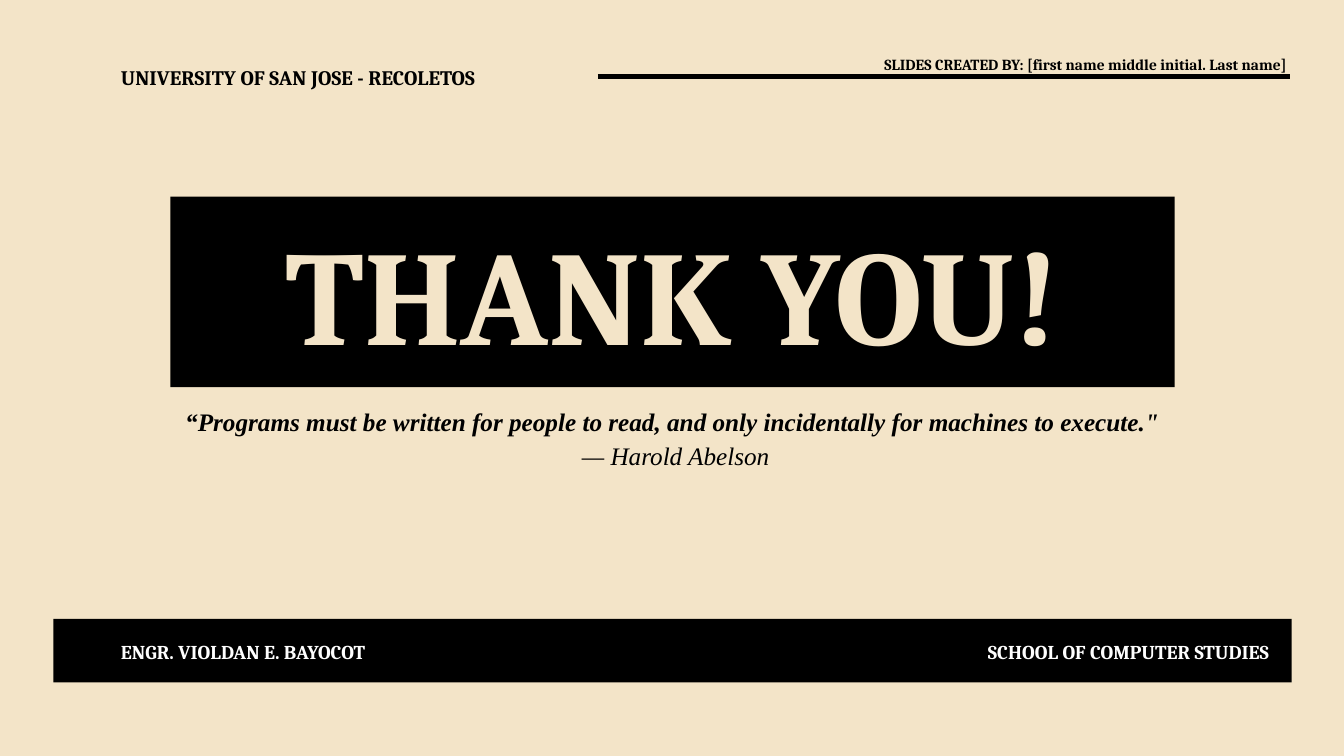
"""Build a closing slide with a thank-you banner, a quote and a footer bar."""
from lxml import etree
from pptx import Presentation
from pptx.dml.color import RGBColor
from pptx.enum.shapes import MSO_CONNECTOR, MSO_SHAPE
from pptx.enum.text import MSO_ANCHOR, MSO_AUTO_SIZE, PP_ALIGN
from pptx.oxml.ns import qn
from pptx.util import Inches, Pt

LEFT, MID, RIGHT = PP_ALIGN.LEFT, PP_ALIGN.CENTER, PP_ALIGN.RIGHT
TOP, CENTRE = MSO_ANCHOR.TOP, MSO_ANCHOR.MIDDLE
NONE, RECT, LINE = MSO_AUTO_SIZE.NONE, MSO_SHAPE.RECTANGLE, MSO_CONNECTOR.STRAIGHT
HEX = {"sand": "F3E4C8", "ink": "000000", "white": "FEFEFE"}
RGB = {name: RGBColor.from_string(code) for name, code in HEX.items()}
SERIF, ROMAN = "Cambria", "Times New Roman"

deck = Presentation()
deck.slide_width, deck.slide_height = Inches(13.33), Inches(7.5)
COL, ROW = deck.slide_width / 100, deck.slide_height / 100
slide = deck.slides.add_slide(deck.slide_layouts[0])
slide.background.fill.solid()
slide.background.fill.fore_color.rgb = RGB["sand"]


def grid(x, y, wide, high):
    """Turn columns and rows into lengths."""
    return int(x * COL), int(y * ROW), int(wide * COL), int(high * ROW)


def write(shape, lines, size, font, tint, align, lead, anchor=TOP):
    """Fill a shape with lines of (text, bold, italic) runs."""
    frame = shape.text_frame
    frame.word_wrap, frame.auto_size = True, NONE
    frame.vertical_anchor = anchor
    frame.margin_left = frame.margin_right = 0
    frame.margin_top = frame.margin_bottom = 0
    for i, runs in enumerate(lines):
        para = frame.add_paragraph() if i else frame.paragraphs[0]
        para.alignment, para.line_spacing = align, lead
        para.space_before = Pt(0)
        for text, bold, slant in runs:
            run = para.add_run()
            run.text = text
            run.font.size, run.font.name = Pt(size), font
            run.font.bold, run.font.italic = bold, slant
            run.font.color.rgb = RGB[tint]


bar = slide.shapes.add_shape(RECT, *grid(3.98, 81.87, 92.12, 8.4))
bar.shadow.inherit = False
bar.fill.solid()
bar.fill.fore_color.rgb = RGB["ink"]
bar.line.fill.background()

title, quote = slide.placeholders
title.left, title.top, title.width, title.height = grid(12.68, 26, 74.72, 25.2)
title.fill.solid()
title.fill.fore_color.rgb = RGB["ink"]
write(title, [[("THANK YOU!", True, False)]], 96, SERIF, "sand", MID, 1.0, CENTRE)

quote.left, quote.top, quote.width, quote.height = grid(12.68, 53.2, 74.72, 8.67)
words = [
    [("“Programs must be written for people to read, and only incidentally "
      "for machines to execute.\"", True, True)],
    [(" ", True, True), ("— Harold Abelson", False, True)],
]
write(quote, words, 18, ROMAN, "ink", MID, Pt(24.3))

x, y, wide, _ = grid(44.49, 10.13, 51.53, 0)
rule = slide.shapes.add_connector(LINE, x, y, x + wide, y)
rule.line.width = Pt(3)
rule.line.color.rgb = RGB["ink"]
etree.SubElement(rule._element.spPr, qn("a:effectLst"))

labels = [
    ("UNIVERSITY OF SAN JOSE - RECOLETOS", (9, 8, 34.66, 3.6), 14.7, "ink", LEFT, 20.6),
    ("SLIDES CREATED BY: [first name middle initial. Last name] ",
     (48.84, 6.13, 47.19, 3.33), 11, "ink", RIGHT, 19.6),
    ("ENGR. VIOLDAN E. BAYOCOT", (9, 84, 33, 3.47), 14, "white", LEFT, 20.5),
    ("SCHOOL OF COMPUTER STUDIES", (61.44, 84, 33, 3.47), 14, "white", RIGHT, 20.5),
]
for text, area, size, tint, align, lead in labels:
    box = slide.shapes.add_textbox(*grid(*area))
    write(box, [[(text, True, False)]], size, SERIF, tint, align, Pt(lead))

deck.save("out.pptx")
